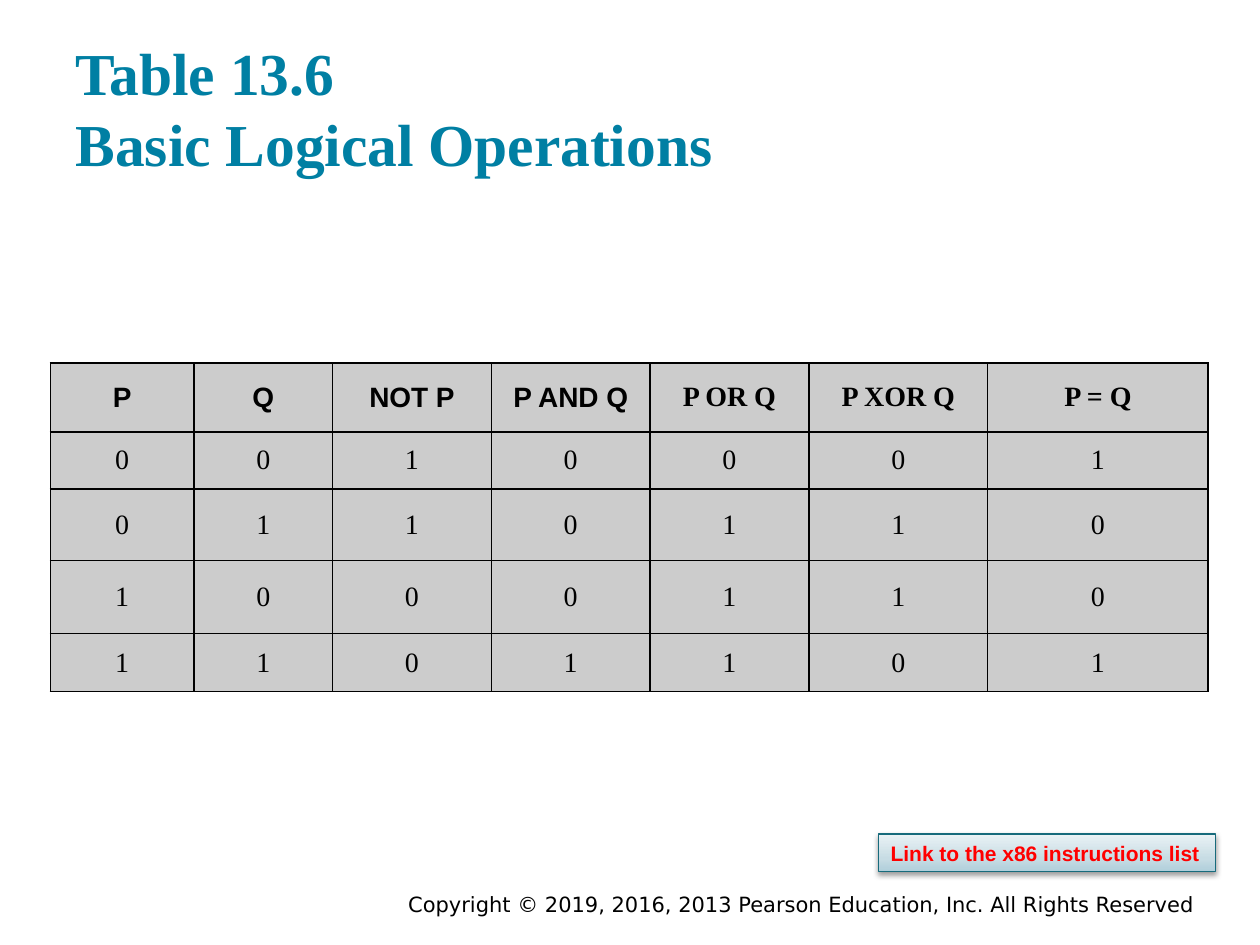
from copy import deepcopy
from itertools import product

from lxml.etree import SubElement
from pptx import Presentation
from pptx.dml.color import RGBColor as RGB
from pptx.enum.shapes import MSO_SHAPE as SHAPE
from pptx.enum.text import MSO_ANCHOR as ANCHOR, MSO_AUTO_SIZE as AUTO_SIZE, PP_ALIGN as ALIGN
from pptx.oxml.ns import qn
from pptx.util import Inches, Pt

THEME = {
    "title": {"name": "Times New Roman", "size": Pt(34), "bold": True, "color": "007FA3"},
    "head_sans": {"name": "Arial", "size": Pt(16), "bold": True, "color": "000000"},
    "head_serif": {"name": "Times New Roman", "size": Pt(16), "bold": True, "color": "000000"},
    "value": {"name": "Times New Roman", "size": Pt(16), "bold": False, "color": "000000"},
    "link": {"name": "Arial", "size": Pt(12), "bold": True, "color": "FF0000"},
    "copyright": {"name": "DejaVu Sans", "size": Pt(12), "bold": False, "color": "000000"},
    "cell_fill": "CCCCCC",
    "cell_border": "000000",
    "link_border": "176B7C",
    "link_gradient": [(0, "AFCEDA"), (0.35, "C7DCE4"), (1, "EAF2F5")],
    "shadow": "000000",
}


def write(frame, text, style, align, anchor):
    frame.text = text
    frame.vertical_anchor = anchor
    paragraph = frame.paragraphs[0]
    paragraph.alignment = align
    for run in paragraph.runs:
        for key, value in THEME[style].items():
            if key == "color":
                run.font.color.rgb = RGB.from_string(value)
            else:
                setattr(run.font, key, value)


def draw_borders(cell):
    """Put a 1 pt line on all four sides; must come before the cell's fill."""
    properties = cell._tc.get_or_add_tcPr()
    for side in ("a:lnL", "a:lnR", "a:lnT", "a:lnB"):
        line = SubElement(properties, qn(side), w=str(Pt(1)))
        solid = SubElement(line, qn("a:solidFill"))
        SubElement(solid, qn("a:srgbClr"), val=THEME["cell_border"])


deck = Presentation()
deck.slide_width, deck.slide_height = Inches(10), Inches(7.5)
slide = deck.slides.add_slide(deck.slide_layouts[5])

# Title
title = slide.shapes.title
title.left, title.top, title.width, title.height = map(Inches, (0.5, 0.27, 9, 1.2))
write(title.text_frame, "Table 13.6\vBasic Logical Operations", "title", ALIGN.LEFT, ANCHOR.BOTTOM)

# Truth table
headings = ["P", "Q", "NOT P", "P AND Q", "P OR Q", "P XOR Q", "P = Q"]
truth_rows = [
    [p, q, 1 - p, p & q, p | q, p ^ q, int(p == q)]
    for p, q in product((0, 1), repeat=2)
]
column_widths = [1.14, 1.1, 1.26, 1.26, 1.26, 1.42, 1.75]
row_heights = [0.55, 0.45, 0.57, 0.58, 0.46]
truth_table = slide.shapes.add_table(
    len(row_heights), len(column_widths),
    Inches(0.4), Inches(2.88), Inches(9.19), Inches(2.61),
).table
for column, width in zip(truth_table.columns, column_widths):
    column.width = Inches(width)
for row, height in zip(truth_table.rows, row_heights):
    row.height = Inches(height)

for r, values in enumerate([headings] + truth_rows):
    for c, value in enumerate(values):
        cell = truth_table.cell(r, c)
        if r > 0:
            style = "value"
        else:
            style = "head_sans" if c < 4 else "head_serif"
        write(cell.text_frame, str(value), style, ALIGN.CENTER, None)
        cell.vertical_anchor = ANCHOR.MIDDLE
        draw_borders(cell)
        cell.fill.solid()
        cell.fill.fore_color.rgb = RGB.from_string(THEME["cell_fill"])

# Link box
link = slide.shapes.add_shape(
    SHAPE.RECTANGLE, Inches(6.97), Inches(6.62), Inches(2.68), Inches(0.3))
link.fill.gradient()
link.fill.gradient_angle = 90
stop_list = link._element.spPr.find(".//" + qn("a:gsLst"))
stop_list.append(deepcopy(stop_list[0]))
for stop, (position, color) in zip(link.fill.gradient_stops, THEME["link_gradient"]):
    stop.position = position
    stop.color.rgb = RGB.from_string(color)
link.line.color.rgb = RGB.from_string(THEME["link_border"])
link.line.width = Pt(0.75)

link.shadow.inherit = False
effects = link._element.spPr.find(qn("a:effectLst"))
shadow = SubElement(effects, qn("a:outerShdw"), blurRad=str(Pt(3.1)), dist=str(Pt(1.6)),
                    dir="5400000", rotWithShape="0")
shadow_color = SubElement(shadow, qn("a:srgbClr"), val=THEME["shadow"])
SubElement(shadow_color, qn("a:alpha"), val="38000")

write(link.text_frame, "Link to the x86 instructions list", "link", ALIGN.LEFT, ANCHOR.TOP)
link.text_frame.word_wrap = False
link.text_frame.auto_size = AUTO_SIZE.SHAPE_TO_FIT_TEXT

# Copyright line
footer = slide.shapes.add_textbox(Inches(1.75), Inches(7.03), Inches(7.83), Inches(0.22))
footer.text_frame.word_wrap = True
write(footer.text_frame,
      "Copyright © 2019, 2016, 2013 Pearson Education, Inc. All Rights Reserved",
      "copyright", ALIGN.RIGHT, ANCHOR.TOP)

deck.save("out.pptx")
